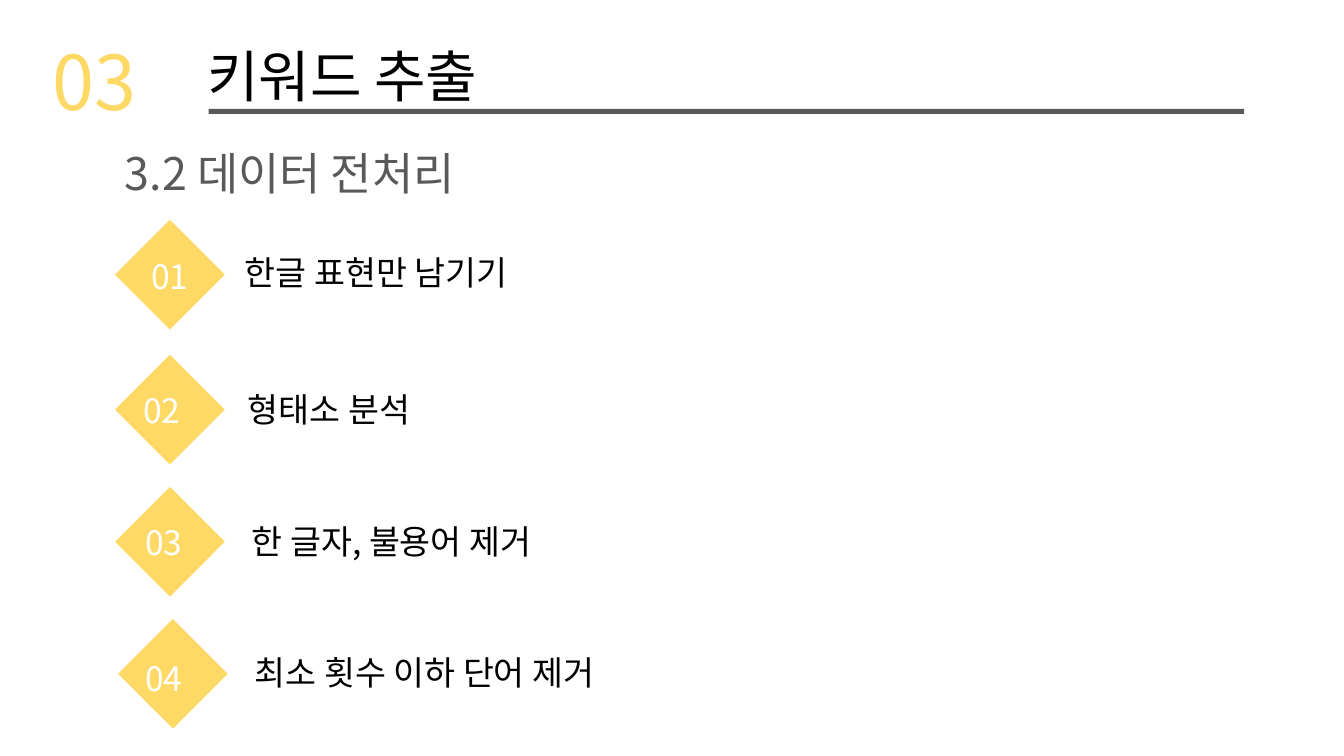
"""Build the keyword extraction slide with its four preprocessing steps."""
from dataclasses import dataclass

from lxml import etree
from pptx import Presentation
from pptx.dml.color import RGBColor
from pptx.enum.shapes import MSO_SHAPE
from pptx.enum.text import MSO_ANCHOR, MSO_AUTO_SIZE
from pptx.oxml.ns import qn
from pptx.slide import Slide
from pptx.util import Inches, Pt

RECT = MSO_SHAPE.RECTANGLE
BOTTOM = MSO_ANCHOR.BOTTOM
GROW = MSO_AUTO_SIZE.SHAPE_TO_FIT_TEXT
FONT = "Noto Sans CJK KR"
GOLD, GRAY, BLACK, WHITE = "FFD966", "595959", "000000", "FFFFFF"
SIDE = 0.77

Box = tuple[float, float, float, float]


@dataclass
class Label:
    """A line of text with its place and look."""
    text: str
    box: Box
    size: int
    color: str
    head: bool = True
    wrap: bool = True


@dataclass
class Step:
    """A numbered diamond with its caption."""
    left: float
    top: float
    mark: Box
    note: Box
    text: str


STEPS = [
    Step(1.3, 2.34, (1.4, 2.41, 0.67, 0.58), (2.33, 2.45, 7.1, 0.5), "한글 표현만 남기기"),
    Step(1.3, 3.68, (1.32, 3.7, 0.75, 0.62), (2.36, 3.81, 7.41, 0.5), "형태소 분석"),
    Step(1.3, 4.99, (1.34, 5.01, 0.75, 0.62), (2.4, 5.12, 7.35, 0.5), "한 글자, 불용어 제거"),
    Step(1.33, 6.3, (1.34, 6.36, 0.75, 0.62), (2.43, 6.42, 7.35, 0.5), "최소 횟수 이하 단어 제거"),
]
HEADS = [
    Label("키워드 추출", (1.96, 0.35, 5.84, 0.79), 40, BLACK),
    Label("03", (0.42, 0.32, 2.2, 0.99), 54, GOLD),
    Label("3.2 데이터 전처리", (1.14, 1.4, 3.84, 0.64), 32, GRAY, head=False, wrap=False),
]


def paint(code: str) -> RGBColor:
    """Turn a hex string into a colour."""
    return RGBColor.from_string(code)


def add_block(slide: Slide, box: Box, color: str, turn: float = 0) -> None:
    """Draw a plain filled rectangle."""
    block = slide.shapes.add_shape(RECT, *map(Inches, box))
    block.rotation = turn
    block.shadow.inherit = False
    block.fill.solid()
    block.fill.fore_color.rgb = paint(color)
    block.line.fill.background()


def add_label(slide: Slide, label: Label) -> None:
    """Write one line of text."""
    frame = slide.shapes.add_textbox(*map(Inches, label.box)).text_frame
    frame.text = label.text
    frame.word_wrap = label.wrap
    line = frame.paragraphs[0]
    if label.head:
        frame.vertical_anchor = BOTTOM
        line.line_spacing = 0.9
    else:
        frame.auto_size = GROW
    for run in line.runs:
        run.font.size = Pt(label.size)
        run.font.color.rgb = paint(label.color)
        run.font.name = FONT
        etree.SubElement(run._r.get_or_add_rPr(), qn("a:ea"), typeface=FONT)


def add_step(slide: Slide, num: int, step: Step) -> None:
    """Draw a diamond, its number and its caption."""
    add_block(slide, (step.left, step.top, SIDE, SIDE), GOLD, 45)
    add_label(slide, Label(f"{num:02}", step.mark, 24, WHITE))
    add_label(slide, Label(step.text, step.note, 24, BLACK, head=False))


def main() -> None:
    """Build and save the slide."""
    deck = Presentation()
    deck.slide_width, deck.slide_height = Inches(13.33), Inches(7.5)
    slide = deck.slides.add_slide(deck.slide_layouts[6])
    add_block(slide, (2.07, 1.08, 10.27, 0.05), GRAY)
    for head in HEADS:
        add_label(slide, head)
    for num, step in enumerate(STEPS, 1):
        add_step(slide, num, step)
    deck.save("out.pptx")


if __name__ == "__main__":
    main()
